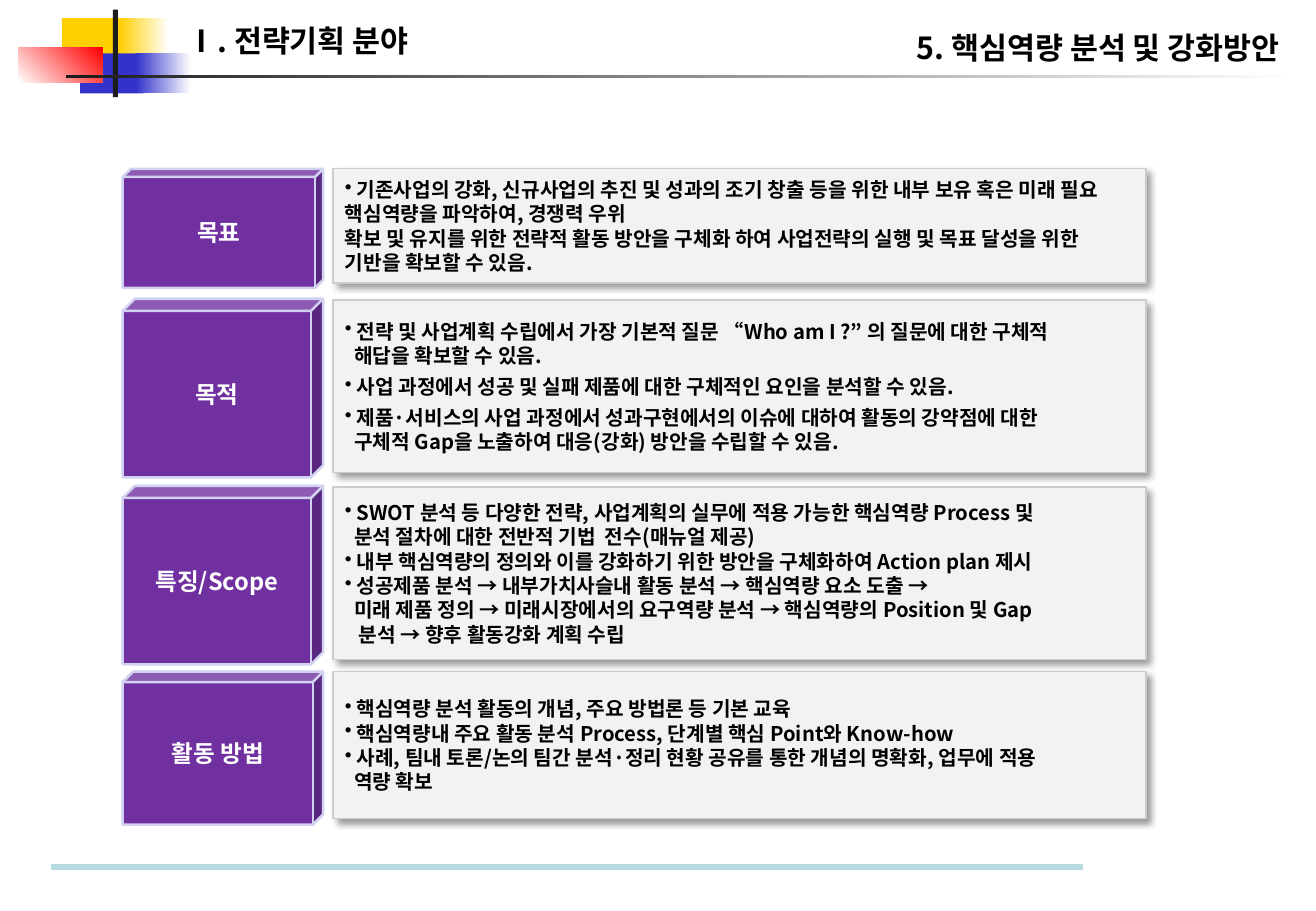
from copy import deepcopy
from dataclasses import dataclass

from lxml import etree
from pptx import Presentation
from pptx.dml.color import RGBColor
from pptx.enum.shapes import MSO_CONNECTOR, MSO_SHAPE
from pptx.enum.text import MSO_ANCHOR, MSO_AUTO_SIZE, PP_ALIGN
from pptx.oxml import parse_xml
from pptx.oxml.ns import nsdecls, qn
from pptx.util import Emu, Pt

RECT, CUBE = MSO_SHAPE.RECTANGLE, MSO_SHAPE.CUBE
LEFT, CENTER, RIGHT = PP_ALIGN.LEFT, PP_ALIGN.CENTER, PP_ALIGN.RIGHT
MIDDLE, TOP = MSO_ANCHOR.MIDDLE, MSO_ANCHOR.TOP
FIT = MSO_AUTO_SIZE.SHAPE_TO_FIT_TEXT
STRAIGHT = MSO_CONNECTOR.STRAIGHT

FONT = "Noto Sans CJK KR"
BLACK = RGBColor(0x00, 0x00, 0x00)
WHITE = RGBColor(0xFF, 0xFF, 0xFF)
INK = RGBColor(0x1C, 0x1C, 0x1C)
YELLOW = RGBColor(0xFF, 0xCF, 0x01)
BLUE = RGBColor(0x33, 0x33, 0xCC)
RED = RGBColor(0xFF, 0x00, 0x00)
TEAL = RGBColor(0xB6, 0xDC, 0xDF)
PURPLE = RGBColor(0x70, 0x30, 0xA0)
LILAC = RGBColor(0xD1, 0xD1, 0xF0)
PANEL = RGBColor(0xF2, 0xF2, 0xF2)
PANEL_EDGE = RGBColor(0xCC, 0xCC, 0xCC)

PX = 9144
CUBE_X, CUBE_W = 101, 165
PANEL_X, PANEL_W = 274, 669


@dataclass
class Block:
    x: int
    y: int
    w: int
    h: int
    start: RGBColor
    end: RGBColor | None = None
    angle: int = 0


@dataclass
class Row:
    label: str
    cube_y: int
    cube_h: int
    panel_y: int
    panel_h: int
    items: list[str]
    before: int = 0


BLOCKS = [
    Block(51, 15, 54, 33, YELLOW),
    Block(98, 15, 41, 33, YELLOW, WHITE),
    Block(66, 44, 52, 33, BLUE),
    Block(112, 44, 45, 33, BLUE, WHITE),
    Block(15, 39, 69, 29, WHITE, RED, 45),
    Block(93, 8, 4, 72, INK),
    Block(54, 62, 1014, 2, INK, WHITE),
]

ROWS = [
    Row("목표", 139, 98, 139, 94, [
        " 기존사업의 강화, 신규사업의 추진 및 성과의 조기 창출 등을 위한 내부 보유 혹은 미래 필요 "
        "핵심역량을 파악하여, 경쟁력 우위\v확보 및 유지를 위한 전략적 활동 방안을 구체화 하여 "
        "사업전략의 실행 및 목표 달성을 위한 기반을 확보할 수 있음.",
    ]),
    Row("목적", 246, 147, 247, 142, [
        " 전략 및 사업계획 수립에서 가장 기본적 질문 “Who am I ?” 의 질문에 대한 구체적 "
        "\v  해답을 확보할 수 있음.",
        " 사업 과정에서 성공 및 실패 제품에 대한 구체적인 요인을 분석할 수 있음.",
        " 제품·서비스의 사업 과정에서 성과구현에서의 이슈에 대하여 활동의 강약점에 대한"
        "\v  구체적 Gap을 노출하여 대응(강화) 방안을 수립할 수 있음.",
    ], 4),
    Row("특징/Scope", 400, 147, 401, 142, [
        " SWOT 분석 등 다양한 전략, 사업계획의 실무에 적용 가능한 핵심역량 Process 및"
        "\v  분석 절차에 대한 전반적 기법  전수(매뉴얼 제공)",
        " 내부 핵심역량의 정의와 이를 강화하기 위한 방안을 구체화하여 Action plan 제시",
        " 성공제품 분석 → 내부가치사슬내 활동 분석 → 핵심역량 요소 도출 → "
        "\v  미래 제품 정의 → 미래시장에서의 요구역량 분석 → 핵심역량의 Position 및 Gap"
        "\v   분석 → 향후 활동강화 계획 수립",
    ]),
    Row("활동 방법", 553, 126, 553, 121, [
        " 핵심역량 분석 활동의 개념, 주요 방법론 등 기본 교육",
        " 핵심역량내 주요 활동 분석 Process, 단계별 핵심 Point와 Know-how",
        " 사례, 팀내 토론/논의 팀간 분석·정리 현황 공유를 통한 개념의 명확화, 업무에 적용"
        "\v  역량 확보",
    ]),
]


def px(*values: int) -> list[Emu]:
    return [Emu(v * PX) for v in values]


def write(tf, items: list[str], *, size: int, color: RGBColor = BLACK, align=LEFT,
          anchor=MIDDLE, wrap: bool = True, bullet: bool = False, before: int = 0) -> None:
    tf.word_wrap = wrap
    tf.vertical_anchor = anchor
    for i, text in enumerate(items):
        p = tf.paragraphs[0] if i == 0 else tf.add_paragraph()
        p.text = text
        p.alignment = align
        p.space_before = Pt(before)
        if bullet:
            pPr = p._p.get_or_add_pPr()
            pPr.set("marL", "0")
            pPr.set("indent", "0")
            etree.SubElement(pPr, qn("a:buChar")).set("char", "•")
        for r in p.runs:
            r.font.size = Pt(size)
            r.font.bold = True
            r.font.name = FONT
            r.font.color.rgb = color
            etree.SubElement(r._r.rPr, qn("a:ea")).set("typeface", FONT)
        for br in p._p.findall(qn("a:br")):
            br.append(deepcopy(p.runs[0]._r.rPr))


def add_box(s, kind, x: int, y: int, w: int, h: int, fill: RGBColor,
            edge: RGBColor | None = None, weight: float = 0):
    sp = s.shapes.add_shape(kind, *px(x, y, w, h))
    sp.shadow.inherit = False
    sp.fill.solid()
    sp.fill.fore_color.rgb = fill
    if edge is None:
        sp.line.fill.background()
    else:
        sp.line.color.rgb = edge
        sp.line.width = Pt(weight)
    return sp


def add_block(s, b: Block) -> None:
    sp = add_box(s, RECT, b.x, b.y, b.w, b.h, b.start)
    if b.end is not None:
        sp.fill.gradient()
        sp.fill.gradient_angle = b.angle
        for stop, color in zip(sp.fill.gradient_stops, (b.start, b.end)):
            stop.color.rgb = color


def add_shadow(sp) -> None:
    sp._element.spPr.find(qn("a:effectLst")).append(parse_xml(
        f'<a:outerShdw {nsdecls("a")} blurRad="{Pt(4)}" dist="{Pt(3)}" dir="2700000" '
        'algn="tl" rotWithShape="0"><a:srgbClr val="000000"><a:alpha val="40000"/>'
        '</a:srgbClr></a:outerShdw>'))


def add_row(s, row: Row) -> None:
    cube = add_box(s, CUBE, CUBE_X, row.cube_y, CUBE_W, row.cube_h, PURPLE, LILAC, 1.5)
    cube.adjustments[0] = 0.068
    write(cube.text_frame, [row.label], size=14, color=WHITE, align=CENTER)
    panel = add_box(s, RECT, PANEL_X, row.panel_y, PANEL_W, row.panel_h, PANEL, PANEL_EDGE, 0.75)
    add_shadow(panel)
    write(panel.text_frame, row.items, size=12, bullet=True, before=row.before)


def add_footer_line(s) -> None:
    line = s.shapes.add_connector(STRAIGHT, *px(42, 714, 891, 714))
    line.line.color.rgb = TEAL
    line.line.width = Pt(3.5)
    etree.SubElement(line._element.spPr, qn("a:effectLst"))


def main() -> None:
    prs = Presentation()
    prs.slide_width, prs.slide_height = px(1083, 750)
    s = prs.slides.add_slide(prs.slide_layouts[5])
    for block in BLOCKS:
        add_block(s, block)
    add_footer_line(s)
    title = s.shapes.title
    title.left, title.top, title.width, title.height = px(708, 19, 355, 40)
    write(title.text_frame, ["5. 핵심역량 분석 및 강화방안"], size=18, align=RIGHT, wrap=False)
    title.text_frame.auto_size = FIT
    for row in ROWS:
        add_row(s, row)
    section = s.shapes.add_textbox(*px(144, 13, 230, 40))
    write(section.text_frame, ["Ⅰ. 전략기획 분야"], size=18, anchor=TOP, wrap=False)
    section.text_frame.auto_size = FIT
    prs.save("out.pptx")


if __name__ == "__main__":
    main()
